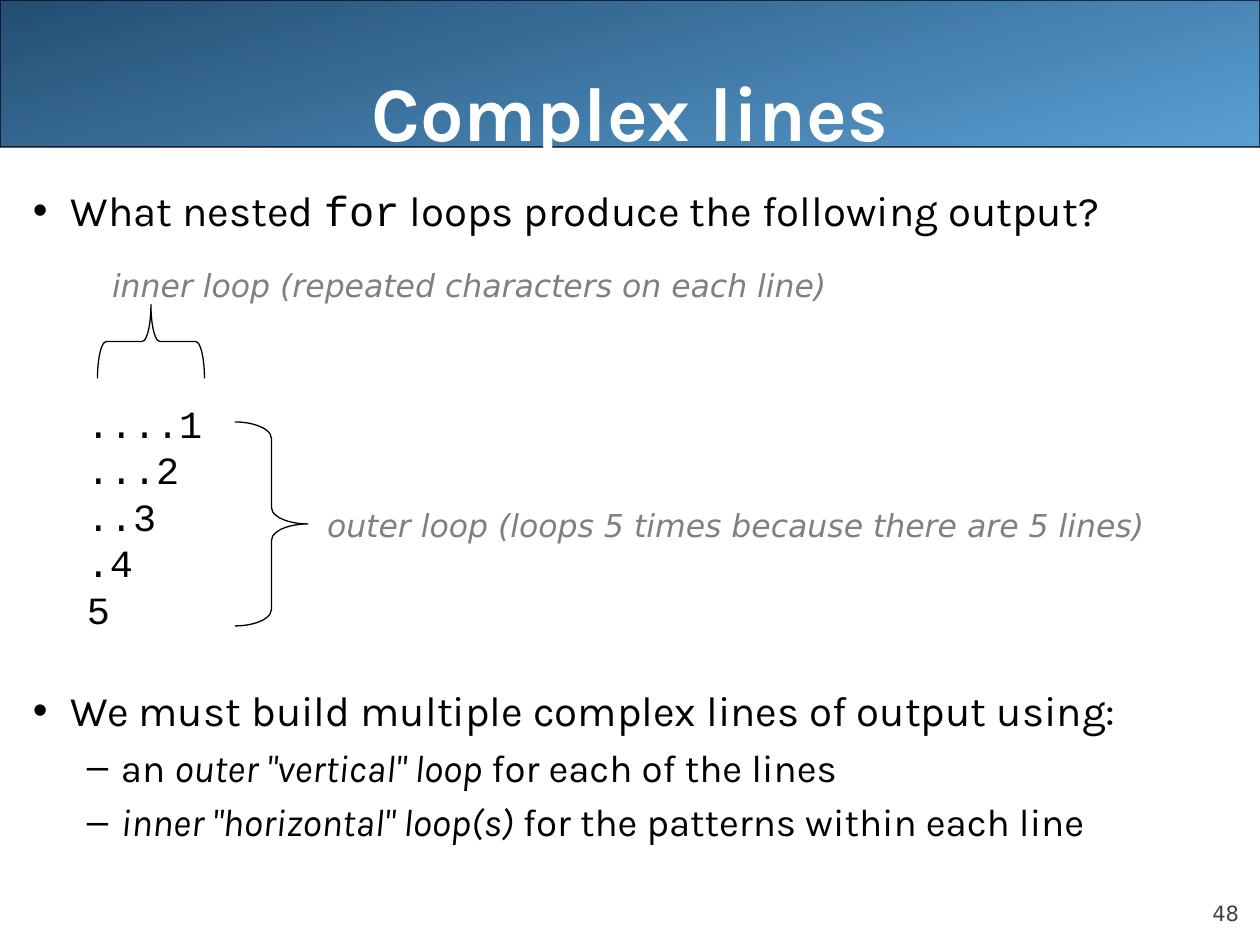
from lxml import etree
from pptx import Presentation
from pptx import util as u
from pptx.dml.color import RGBColor
from pptx.enum import shapes, text
from pptx.oxml.ns import qn

PX = u.Inches(1) // 126
COLORS = {"dark": "244E72", "light": "5A9FD4", "ink": "000000",
          "white": "FFFFFF", "note": "808080", "number": "424242"}
BODY, CODE, NOTE = "Karla", "Courier New", "DejaVu Sans"


def rgb(name):
    return RGBColor.from_string(COLORS[name])


def px(*lengths):
    return [length * PX for length in lengths]


def style(run, size, font, color="ink", bold=False, italic=False):
    run.font.size = u.Pt(size)
    run.font.name = font
    run.font.color.rgb = rgb(color)
    run.font.bold = bold
    run.font.italic = italic


def add_frame(slide, box, anchor=text.MSO_ANCHOR.TOP, inset=0):
    frame = slide.shapes.add_textbox(*px(*box)).text_frame
    frame.word_wrap = True
    frame.vertical_anchor = anchor
    frame.margin_left = frame.margin_right = inset * 2 * PX
    frame.margin_top = frame.margin_bottom = inset * PX
    return frame


def indent(paragraph, margin, hanging, bullet):
    props = paragraph._p.get_or_add_pPr()
    props.set("marL", str(margin * PX))
    props.set("indent", str(-hanging * PX))
    if bullet:
        font = etree.SubElement(props, qn("a:buFont"))
        font.set("typeface", "Arial")
        etree.SubElement(props, qn("a:buChar")).set("char", bullet)
    else:
        etree.SubElement(props, qn("a:buNone"))


def add_header(slide, box):
    left, top, width, height = box
    band = slide.shapes.add_shape(shapes.MSO_SHAPE.ROUNDED_RECTANGLE, *px(*box))
    band.adjustments[0] = 0.001
    band.shadow.inherit = False
    band.fill.gradient()
    band.fill.gradient_angle = 285
    for stop, color in zip(band.fill.gradient_stops, ("dark", "light")):
        stop.color.rgb = rgb(color)
    band.line.color.rgb = rgb("ink")
    band.line.width = u.Pt(0.75)

    title = slide.shapes.title
    title.element.addprevious(band.element)
    title.left, title.top, title.width, title.height = px(
        left + 63, top, width - 126, height + 10)
    frame = title.text_frame
    frame.text = "Complex lines"
    frame.auto_size = text.MSO_AUTO_SIZE.NONE
    frame.vertical_anchor = text.MSO_ANCHOR.BOTTOM
    frame.margin_left = frame.margin_right = frame.margin_bottom = 0
    frame.paragraphs[0].alignment = text.PP_ALIGN.CENTER
    style(frame.paragraphs[0].runs[0], 44, BODY, "white", bold=True)


def add_body(slide, box):
    top_level, sub_level, output = (38, 38, "•"), (88, 34, "–"), (88, 34, None)
    plain, code, slanted = (BODY, False), (CODE, False), (BODY, True)
    outline = [
        (top_level, 24, 2, [("What nested ", plain), ("for", code),
                            (" loops produce the following output?", plain)]),
        *[(output, 22, 5.5 if row else 99, [(line, code)])
          for row, line in enumerate(("....1", "...2", "..3", ".4", "5"))],
        (top_level, 24, 30, [("We must build multiple complex lines of output using:", plain)]),
        (sub_level, 22, 5, [("an ", plain), ('outer "vertical" loop', slanted),
                            (" for each of the lines", plain)]),
        (sub_level, 22, 5, [('inner "horizontal" loop(s)', slanted),
                            (" for the patterns within each line", plain)]),
    ]
    frame = add_frame(slide, box, inset=6)
    for index, (level, size, gap, pieces) in enumerate(outline):
        paragraph = frame.add_paragraph() if index else frame.paragraphs[0]
        paragraph.level = 0 if level == top_level else 1
        paragraph.space_before = u.Pt(gap)
        if level == output:
            paragraph.line_spacing = 0.8
        indent(paragraph, *level)
        for words, (font, italic) in pieces:
            run = paragraph.add_run()
            run.text = words
            style(run, size, font, italic=italic)


def add_loop_note(slide, brace_box, curve, rotation, label_box, words):
    brace = slide.shapes.add_shape(shapes.MSO_SHAPE.RIGHT_BRACE, *px(*brace_box))
    brace.adjustments[0] = curve
    brace.rotation = rotation
    brace.shadow.inherit = False
    brace.fill.background()
    brace.line.color.rgb = rgb("ink")
    brace.line.width = u.Pt(0.75)

    label = add_frame(slide, label_box, text.MSO_ANCHOR.MIDDLE)
    label.text = words
    style(label.paragraphs[0].runs[0], 18, NOTE, "note", italic=True)


def add_slide_number(slide, box):
    number = add_frame(slide, box, text.MSO_ANCHOR.BOTTOM)
    number.text = "48"
    number.paragraphs[0].alignment = text.PP_ALIGN.RIGHT
    style(number.paragraphs[0].runs[0], 12, NOTE, "number")


def main():
    deck = Presentation()
    deck.slide_width, deck.slide_height = px(1260, 945)
    slide = deck.slides.add_slide(deck.slide_layouts[5])
    add_header(slide, (0, 0, 1260, 147))
    add_slide_number(slide, (1134, 876, 105, 50))
    add_body(slide, (21, 179, 1239, 714))
    add_loop_note(slide, (235, 422, 73, 204), 0.226, 0, (327, 505, 880, 40),
                  "outer loop (loops 5 times because there are 5 lines)")
    add_loop_note(slide, (114, 288, 74, 107), 0.119, 270, (112, 265, 800, 40),
                  "inner loop (repeated characters on each line)")
    deck.save("out.pptx")


if __name__ == "__main__":
    main()
